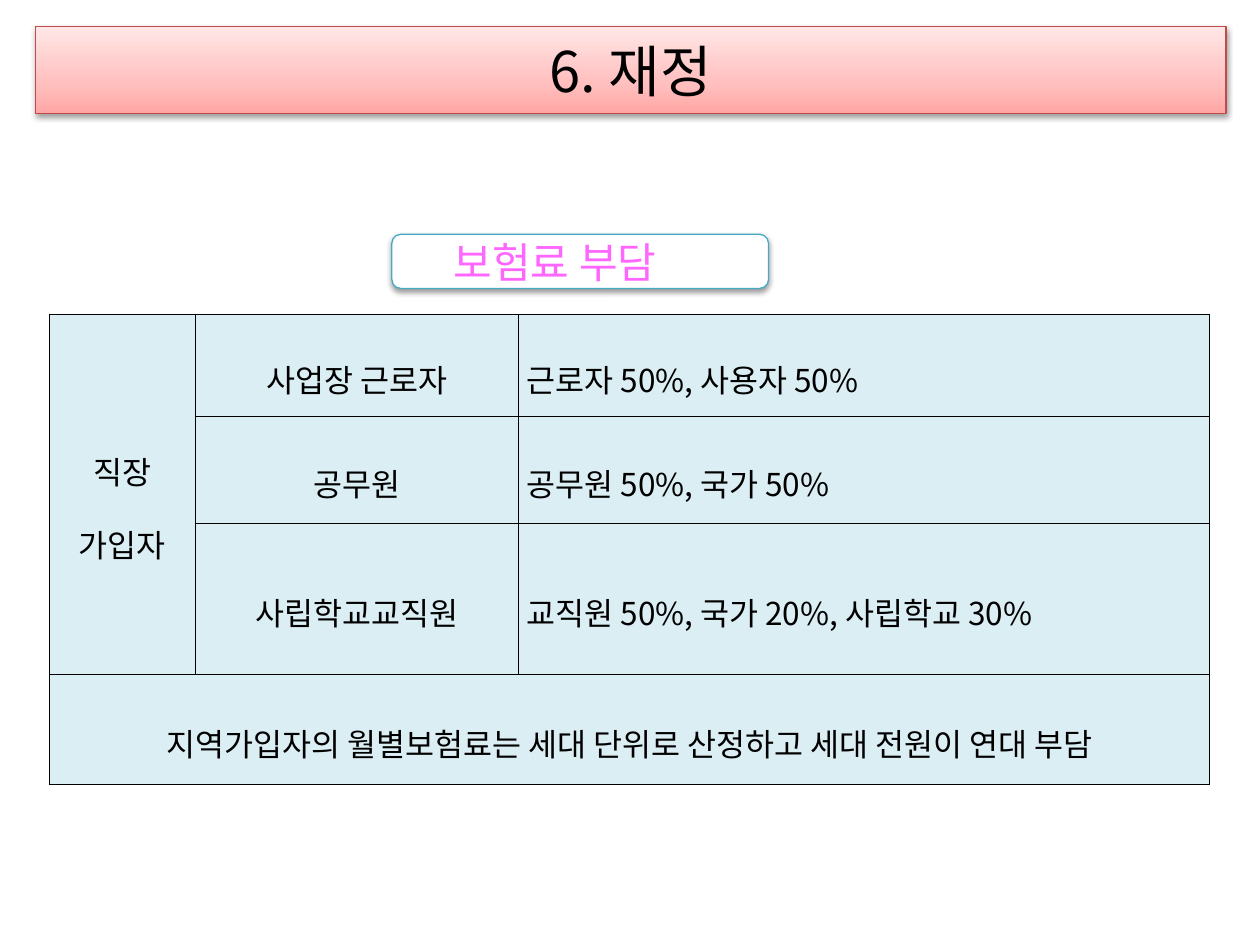
from copy import deepcopy

from lxml.etree import SubElement
from pptx import Presentation
from pptx.dml.color import RGBColor
from pptx.enum.shapes import MSO_SHAPE
from pptx.enum.text import MSO_ANCHOR, PP_ALIGN
from pptx.oxml import parse_xml
from pptx.oxml.ns import nsdecls, qn
from pptx.util import Inches, Pt

FONT = "Noto Sans CJK KR"
COLORS = {
    "text": "000000", "pink": "FF66FF", "white": "FFFFFF",
    "title_bottom": "FFA6A5", "title_middle": "FFC0BF", "title_top": "FFE7E7",
    "title_line": "BF4C48", "label_line": "46AAC5",
    "cell": "DBEEF4", "border": "000000",
}


def add_text(paragraph, text, size, color="text"):
    run = paragraph.add_run()
    run.text = text
    run.font.size = Pt(size)
    run.font.name = FONT
    run.font.color.rgb = RGBColor.from_string(COLORS[color])
    SubElement(run.font._element, qn("a:ea"), typeface=FONT)


def add_banner(kind, left, top, width, height, line):
    banner = slide.shapes.add_shape(
        kind, Inches(left), Inches(top), Inches(width), Inches(height))
    banner.line.color.rgb = RGBColor.from_string(COLORS[line])
    banner.line.width = Pt(0.75)
    banner.shadow.inherit = False
    banner._element.spPr.find(qn("a:effectLst")).append(parse_xml(
        f'<a:outerShdw {nsdecls("a")} blurRad="40000" dist="20000" dir="5400000" '
        'rotWithShape="0"><a:srgbClr val="000000"><a:alpha val="38000"/>'
        '</a:srgbClr></a:outerShdw>'))
    banner.text_frame.word_wrap = True
    banner.text_frame.vertical_anchor = MSO_ANCHOR.MIDDLE
    return banner


prs = Presentation()
prs.slide_width, prs.slide_height = Inches(10), Inches(7.5)
slide = prs.slides.add_slide(prs.slide_layouts[6])

# Title bar with a three-stop gradient from bottom to top
title = add_banner(MSO_SHAPE.RECTANGLE, 0.28, 0.21, 9.45, 0.69, "title_line")
title.fill.gradient()
title.fill.gradient_angle = 90
first_stop = title._element.spPr.find(".//" + qn("a:gs"))
first_stop.addnext(deepcopy(first_stop))
stops = [(0, "title_bottom"), (0.35, "title_middle"), (1, "title_top")]
for stop, (position, color) in zip(title.fill.gradient_stops, stops):
    stop.position = position
    stop.color.rgb = RGBColor.from_string(COLORS[color])
heading = title.text_frame.paragraphs[0]
heading.alignment = PP_ALIGN.CENTER
add_text(heading, "6. 재정", 32)

# Table label
label = add_banner(MSO_SHAPE.ROUNDED_RECTANGLE, 3.11, 1.86, 2.99, 0.43, "label_line")
label.fill.solid()
label.fill.fore_color.rgb = RGBColor.from_string(COLORS["white"])
label.text_frame.margin_left = Inches(0.47)
label_line = label.text_frame.paragraphs[0]
label_line.alignment = PP_ALIGN.LEFT
add_text(label_line, "보험료 부담", 24, "pink")

# Premium shares
column_widths = [1.16, 2.56, 5.49]
row_heights = [0.81, 0.85, 0.85, 0.88]
contents = [
    [["직장", "가입자"], ["사업장 근로자"], ["근로자 50%, 사용자 50%"]],
    [[], ["공무원"], ["공무원 50%, 국가 50%"]],
    [[], ["사립학교교직원"], ["교직원 50%, 국가 20%, 사립학교 30%"]],
    [["지역가입자의 월별보험료는 세대 단위로 산정하고 세대 전원이 연대 부담"], [], []],
]
shares = slide.shapes.add_table(
    4, 3, Inches(0.39), Inches(2.49),
    Inches(sum(column_widths)), Inches(sum(row_heights))).table
for column, width in zip(shares.columns, column_widths):
    column.width = Inches(width)
for row, height in zip(shares.rows, row_heights):
    row.height = Inches(height)
shares.cell(0, 0).merge(shares.cell(2, 0))
shares.cell(3, 0).merge(shares.cell(3, 2))

for r, row_contents in enumerate(contents):
    for c, lines in enumerate(row_contents):
        cell = shares.cell(r, c)
        cell.vertical_anchor = MSO_ANCHOR.MIDDLE
        cell.margin_left = cell.margin_right = Inches(0.07)
        cell.margin_top = cell.margin_bottom = Inches(0.02)
        cell.fill.solid()
        cell.fill.fore_color.rgb = RGBColor.from_string(COLORS["cell"])
        # Borders come before the fill
        for i, side in enumerate(["lnL", "lnR", "lnT", "lnB"]):
            cell._tc.tcPr.insert(i, parse_xml(
                f'<a:{side} {nsdecls("a")} w="{Pt(0.28)}"><a:solidFill>'
                f'<a:srgbClr val="{COLORS["border"]}"/></a:solidFill></a:{side}>'))
        for i, line in enumerate(lines):
            frame = cell.text_frame
            paragraph = frame.add_paragraph() if i else frame.paragraphs[0]
            paragraph.alignment = PP_ALIGN.JUSTIFY if c == 2 else PP_ALIGN.CENTER
            paragraph.line_spacing = 1.6
            add_text(paragraph, line, 18)

prs.save("out.pptx")
